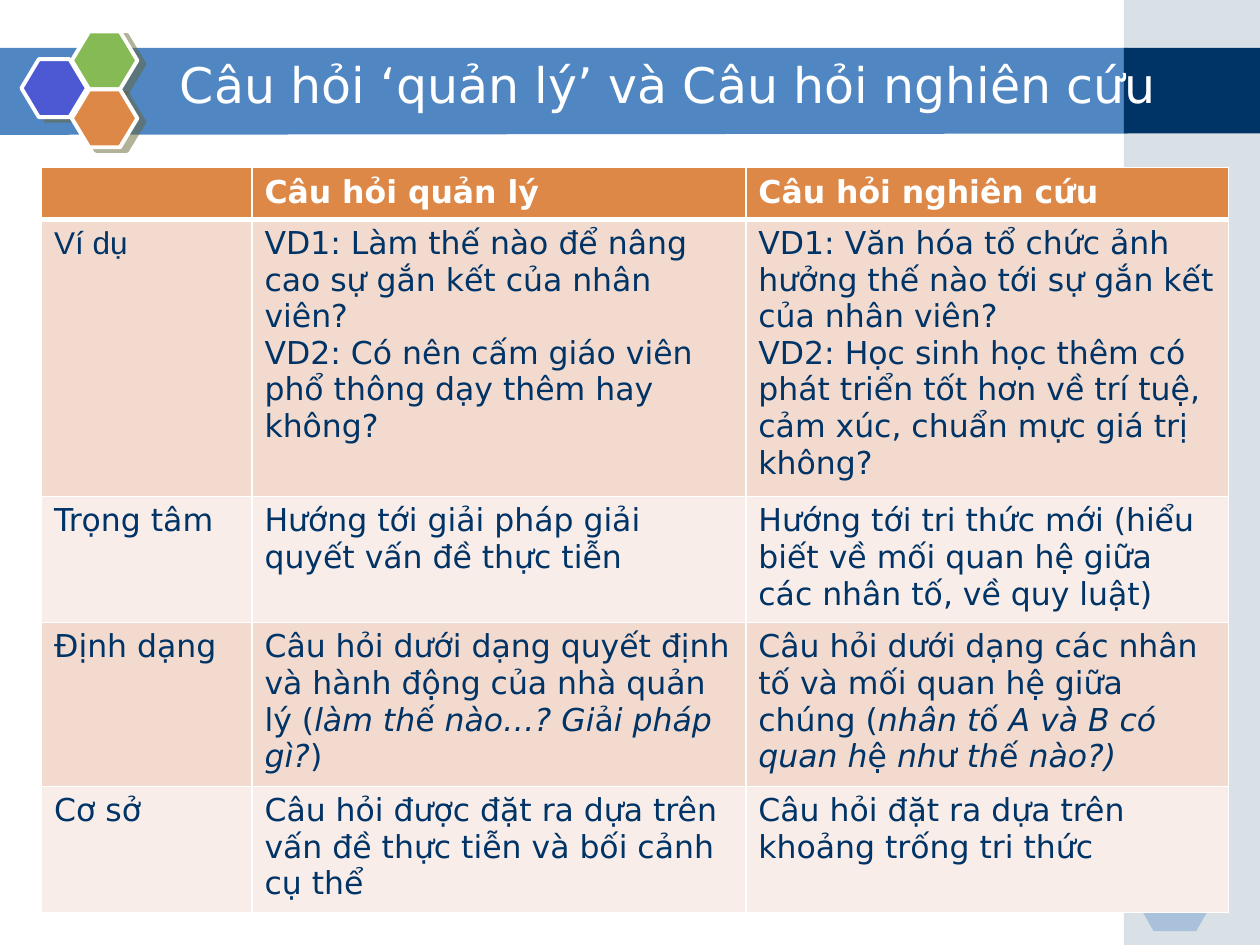
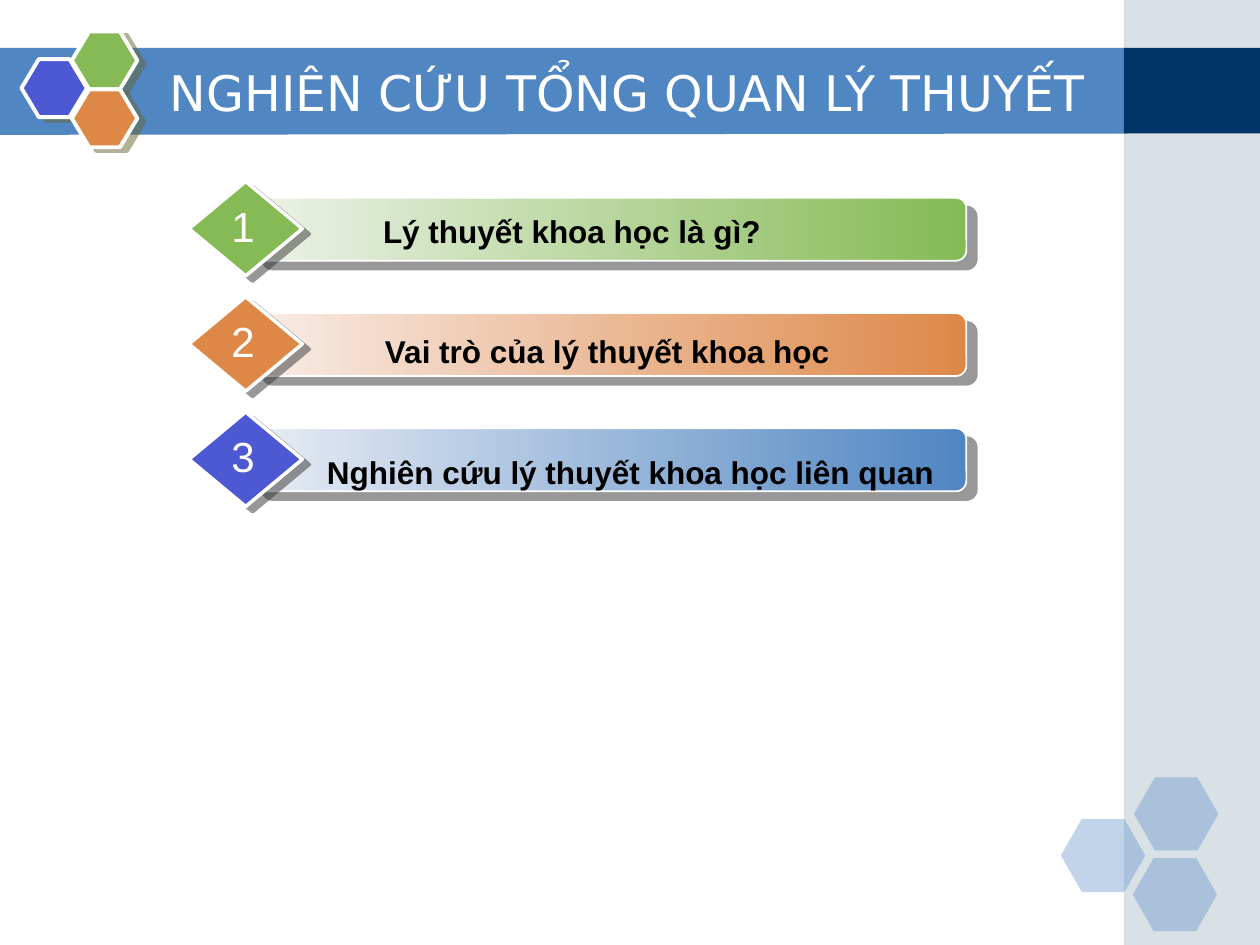
from lxml import etree
from pptx import Presentation
from pptx.dml.color import RGBColor
from pptx.enum.shapes import MSO_SHAPE
from pptx.enum.text import MSO_ANCHOR, PP_ALIGN
from pptx.oxml.ns import qn
from pptx.util import Inches, Pt

RECT, ROUND = MSO_SHAPE.RECTANGLE, MSO_SHAPE.ROUNDED_RECTANGLE
HEXAGON, DIAMOND = MSO_SHAPE.HEXAGON, MSO_SHAPE.DIAMOND
LEFT, CENTER = PP_ALIGN.LEFT, PP_ALIGN.CENTER
TOP, MIDDLE = MSO_ANCHOR.TOP, MSO_ANCHOR.MIDDLE

C = {
    "white": "FFFFFF", "black": "000000", "navy": "003366", "blue": "5086C2",
    "violet": "4C59D2", "green": "85BA54", "orange": "DE8848", "side": "A0B5C4",
    "green_pale": "ECF2E8", "orange_pale": "F8ECE7", "blue_pale": "E8ECF4",
    "row_dark": "F2DACF", "row_light": "F9EDE9",
    "logo_shadow": "666633", "item_shadow": "333333",
}
SANS, ARIAL = "DejaVu Sans", "Arial"

# Question table: * switches italics on and off
QUESTION_ROWS = [
    ["", "Câu hỏi quản lý", "Câu hỏi nghiên cứu"],
    ["Ví dụ",
     "VD1: Làm thế nào để nâng cao sự gắn kết của nhân viên?\n"
     "VD2: Có nên cấm giáo viên phổ thông dạy thêm hay không?",
     "VD1: Văn hóa tổ chức ảnh hưởng thế nào tới sự gắn kết của nhân viên?\n"
     "VD2: Học sinh học thêm có phát triển tốt hơn về trí tuệ, cảm xúc, "
     "chuẩn mực giá trị không?"],
    ["Trọng tâm",
     "Hướng tới giải pháp giải quyết vấn đề thực tiễn",
     "Hướng tới tri thức mới (hiểu biết về mối quan hệ giữa các nhân tố, "
     "về quy luật)"],
    ["Định dạng",
     "Câu hỏi dưới dạng quyết định và hành động của nhà quản lý "
     "(*làm th*ế *nào…? Gi*ả*i pháp gì?*)",
     "Câu hỏi dưới dạng các nhân tố và mối quan hệ giữa chúng "
     "(*nhân t*ố *A và B có\nquan h*ệ *nh*ư *th*ế *nào?)*"],
    ["Cơ sở",
     "Câu hỏi được đặt ra dựa trên vấn đề thực tiễn và bối cảnh cụ thể",
     "Câu hỏi đặt ra dựa trên khoảng trống tri thức"],
]
COL_WIDTHS = [1.67, 3.92, 3.83]
ROW_HEIGHTS = [0.41, 2.13, 0.97, 1.26, 0.96]

# Agenda: text, label box (left, offset from bar, width), bar and diamond colours
AGENDA = [
    ("Lý thuyết khoa học là gì?", (2.3, 0.06, 4.48), "green_pale", "green", "green"),
    ("Vai trò của lý thuyết khoa học", (2.94, 0.1, 3.76),
     "orange_pale", "orange", "orange"),
    ("Nghiên cứu lý thuyết khoa học liên quan", (2.47, 0.15, 5.07),
     "blue_pale", "blue", "violet"),
]


def rgb(name):
    return RGBColor.from_string(C[name])


def box(x, y, w, h):
    return [Inches(v) for v in (x, y, w, h)]


def sub(parent, tag, **attrs):
    return etree.SubElement(parent, qn(tag), {k: str(v) for k, v in attrs.items()})


def write(tf, text, size=18, font=SANS, color="navy", bold=False, align=LEFT,
          anchor=TOP, wrap=True):
    tf.word_wrap = wrap
    tf.vertical_anchor = anchor
    p = tf.paragraphs[0]
    p.alignment = align
    for i, part in enumerate(text.split("*")):
        for j, line in enumerate(part.split("\n")):
            if j:
                p.add_line_break()
            if not line:
                continue
            r = p.add_run()
            r.text = line
            f = r.font
            f.name, f.size, f.bold, f.italic = font, Pt(size), bold, i % 2 == 1
            f.color.rgb = rgb(color)


def text_box(s, text, at, **fmt):
    write(s.shapes.add_textbox(*box(*at)).text_frame, text, **fmt)


def paint(sp, fill, alpha=None, line=None):
    """Solid fill, or a left-to-right gradient when fill is a pair."""
    sp.shadow.inherit = False
    if isinstance(fill, tuple):
        sp.fill.gradient()
        sp.fill.gradient_angle = 0
        for stop, name, pos in zip(sp.fill.gradient_stops, fill, (0, 1)):
            stop.color.rgb = rgb(name)
            stop.position = pos
    else:
        sp.fill.solid()
        sp.fill.fore_color.rgb = rgb(fill)
    if alpha:
        clr = sp.fill._xPr.find(qn("a:solidFill")).find(qn("a:srgbClr"))
        sub(clr, "a:alpha", val=alpha * 1000)
    if line:
        sp.line.color.rgb = rgb("white")
        sp.line.width = Pt(line)
    else:
        sp.line.fill.background()


def add_shadow(sp, color, dist, angle):
    effects = sp._element.spPr.find(qn("a:effectLst"))
    shadow = sub(effects, "a:outerShdw", blurRad=0, dist=Pt(dist),
                 dir=angle * 60000, algn="ctr", rotWithShape=0)
    clr = sub(shadow, "a:srgbClr", val=C[color])
    sub(clr, "a:alpha", val=50000)


def shape(s, kind, at, fill, adj=None, shadow=None, **look):
    sp = s.shapes.add_shape(kind, *box(*at))
    if adj:
        sp.adjustments[0] = adj
    paint(sp, fill, **look)
    if shadow:
        add_shadow(sp, *shadow)
    return sp


def add_frame(s):
    # Title band
    points = [(8.95, 0.38), (8.95, 1.06), (-0.01, 1.07)]
    band = s.shapes.build_freeform(Inches(-0.01), Inches(0.38))
    band.add_line_segments([(Inches(x), Inches(y)) for x, y in points], close=True)
    paint(band.convert_to_shape(), "blue")
    # Side strip
    shape(s, RECT, (8.92, 0, 1.08, 7.5), "side", alpha=40)
    shape(s, RECT, (8.92, 0.38, 1.08, 0.68), "navy")
    # Corner hexagons
    for x, y in [(8.42, 6.5), (9, 6.17), (8.99, 6.81)]:
        shape(s, HEXAGON, (x, y, 0.67, 0.58), "blue", adj=0.286, alpha=35)
    # Hexagon cluster beside the title
    for x, y, color in [(0.17, 0.47, "violet"), (0.57, 0.25, "green"),
                        (0.57, 0.71, "orange")]:
        shape(s, HEXAGON, (x, y, 0.52, 0.46), color, adj=0.3, line=2.25,
              shadow=("logo_shadow", 4.5, 27))


def new_slide(prs, title, title_at):
    s = prs.slides.add_slide(prs.slide_layouts[6])
    add_frame(s)
    text_box(s, title, title_at, size=28, color="white", anchor=MIDDLE)
    return s


def cell_borders(cell, bottom):
    tcPr = cell._tc.get_or_add_tcPr()
    for side, width in (("L", 1), ("R", 1), ("T", 1), ("B", bottom)):
        ln = sub(tcPr, "a:ln" + side, w=Pt(width))
        sub(sub(ln, "a:solidFill"), "a:srgbClr", val=C["white"])


def add_question_table(s):
    at = box(0.33, 1.33, sum(COL_WIDTHS), sum(ROW_HEIGHTS))
    table = s.shapes.add_table(len(ROW_HEIGHTS), len(COL_WIDTHS), *at).table
    table.horz_banding = False
    for col, width in zip(table.columns, COL_WIDTHS):
        col.width = Inches(width)
    for i, texts in enumerate(QUESTION_ROWS):
        table.rows[i].height = Inches(ROW_HEIGHTS[i])
        head = i == 0
        fill = "orange" if head else ("row_light", "row_dark")[i % 2]
        for j, text in enumerate(texts):
            cell = table.cell(i, j)
            cell_borders(cell, bottom=3 if head else 1)
            cell.fill.solid()
            cell.fill.fore_color.rgb = rgb(fill)
            write(cell.text_frame, text, bold=head,
                  color="white" if head else "navy",
                  font=ARIAL if (i, j) == (1, 0) else SANS)


def add_agenda_item(s, number, y, text, label, pale, strong, diamond):
    shape(s, ROUND, (2, y, 5.67, 0.5), (pale, strong), adj=0.167, line=1,
          shadow=("item_shadow", 7.8, 40))
    shape(s, DIAMOND, (1.5, y - 0.13, 0.9, 0.75), diamond, line=2,
          shadow=("item_shadow", 5, 37))
    text_box(s, str(number), (1.7, y - 0.03, 0.46, 0.5), size=24, font=ARIAL,
             color="white", align=CENTER, wrap=False)
    x, offset, width = label
    text_box(s, text, (x, y + offset, width, 0.4), font=ARIAL, color="black",
             bold=True, align=CENTER, wrap=False)


def main():
    prs = Presentation()
    prs.slide_width, prs.slide_height = Inches(10), Inches(7.5)

    # Slide 1: management and research questions
    s = new_slide(prs, "Câu hỏi ‘quản lý’ và Câu hỏi nghiên cứu",
                  (1.33, 0.25, 8.33, 0.83))
    add_question_table(s)

    # Slide 2: literature review agenda
    s = new_slide(prs, "NGHIÊN CỨU TỔNG QUAN LÝ THUYẾT", (1.25, 0.42, 8.75, 0.62))
    for i, item in enumerate(AGENDA):
        add_agenda_item(s, i + 1, 1.57 + i * 0.915, *item)

    prs.save("out.pptx")


if __name__ == "__main__":
    main()
